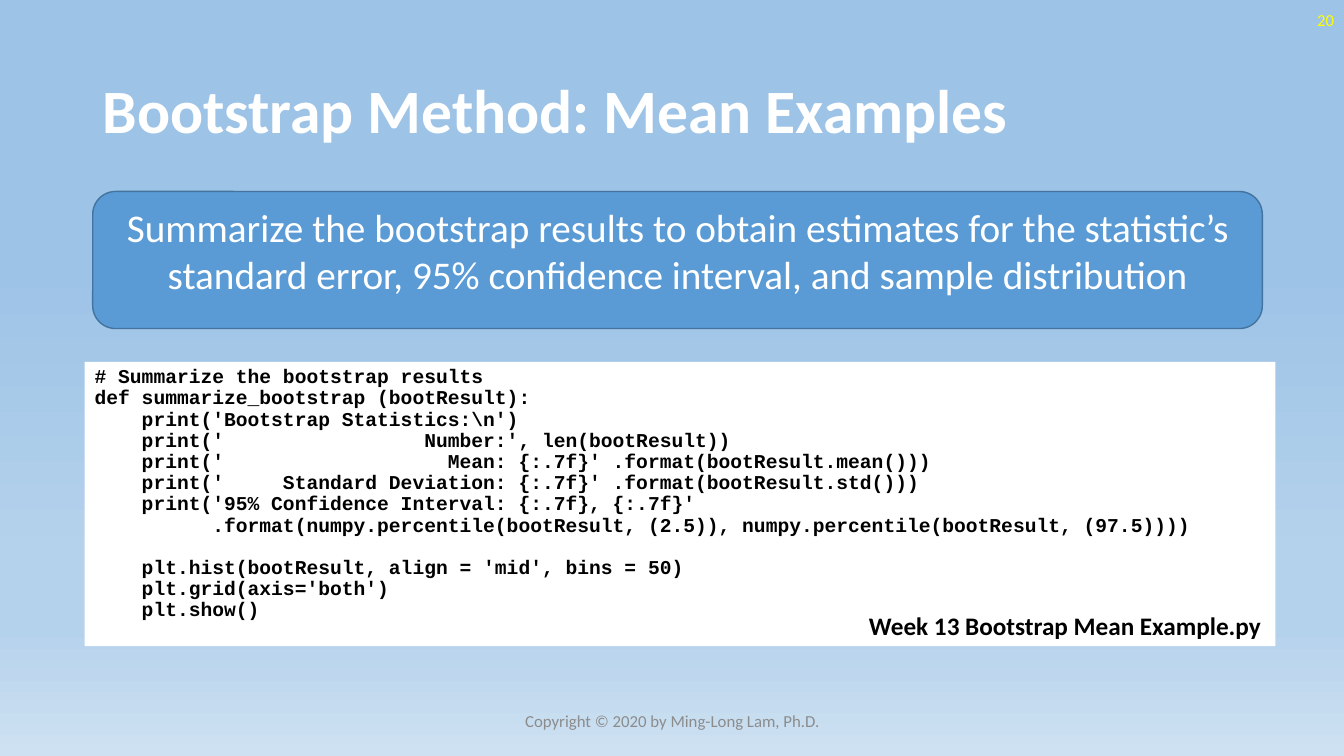
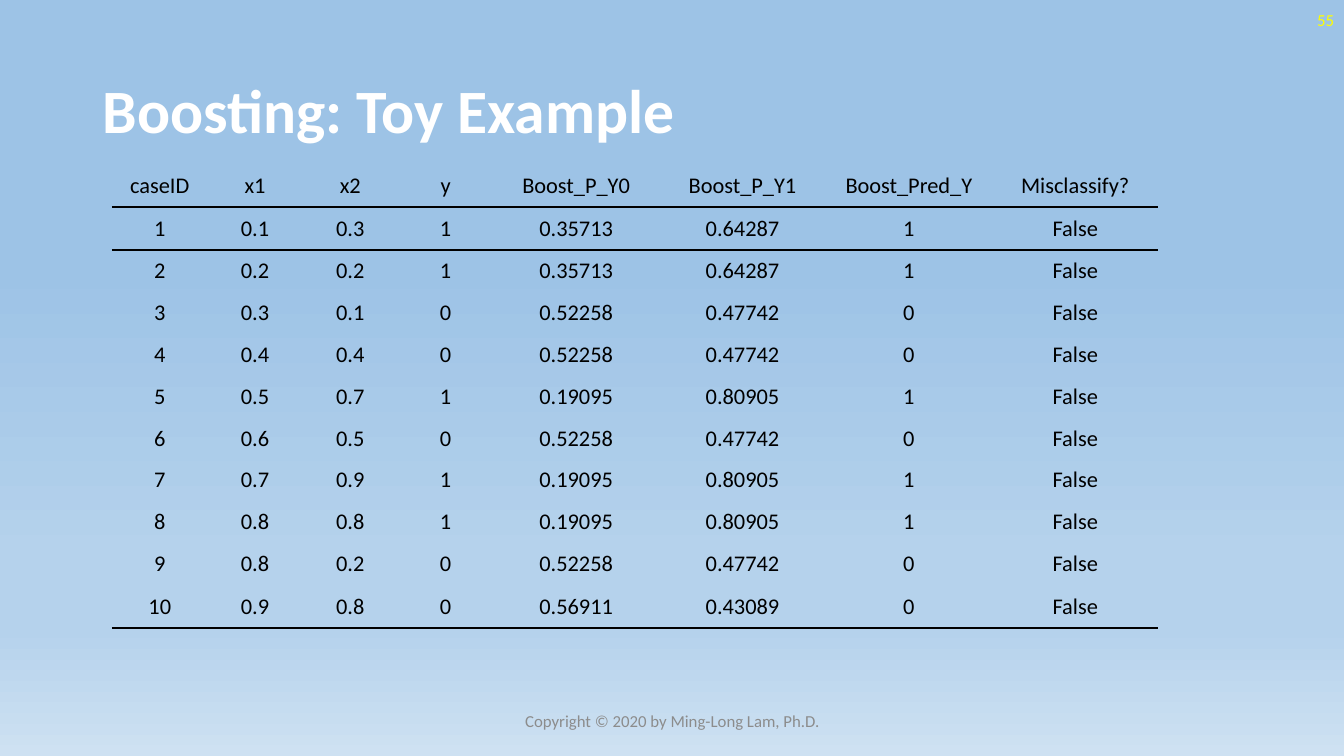
from lxml.etree import SubElement
from pptx import Presentation
from pptx.dml.color import RGBColor
from pptx.enum.shapes import MSO_SHAPE as Shape
from pptx.enum.text import MSO_ANCHOR as Anchor, PP_ALIGN as Align
from pptx.oxml.ns import qn
from pptx.util import Emu, Pt

PX = 9144  # EMU in one px, 100 px to the inch
FONT, CODE_FONT = "Calibri", "Courier New"
WHITE, BLACK, YELLOW, GREY = "FFFFFF", "000000", "FFFF00", "8C8C8C"
BLUE, DARK_BLUE = "5B9BD5", "43739E"
SKY = [(35, "9DC3E6"), (74, "B5D2EC"), (83, "B5D2EC"), (100, "CEE1F2")]
NO_STYLE = "{2D5ABB26-0587-4C30-8999-92F81FD0307C}"

SUMMARY = ("Summarize the bootstrap results to obtain estimates for the statistic’s "
           "standard error, 95% confidence interval, and sample distribution")
CODE = r"""# Summarize the bootstrap results
def summarize_bootstrap (bootResult):
    print('Bootstrap Statistics:\n')
    print('                 Number:', len(bootResult))
    print('                   Mean: {:.7f}' .format(bootResult.mean()))
    print('     Standard Deviation: {:.7f}' .format(bootResult.std()))
    print('95% Confidence Interval: {:.7f}, {:.7f}'
          .format(numpy.percentile(bootResult, (2.5)), numpy.percentile(bootResult, (97.5))))
    
    plt.hist(bootResult, align = 'mid', bins = 50)
    plt.grid(axis='both')
    plt.show()"""
HEADER = ["caseID", "x1", "x2", "y", "Boost_P_Y0", "Boost_P_Y1", "Boost_Pred_Y", "Misclassify?"]
CASES = [
    ("1", "0.1", "0.3", "1", "0.35713", "0.64287", "1", "False"),
    ("2", "0.2", "0.2", "1", "0.35713", "0.64287", "1", "False"),
    ("3", "0.3", "0.1", "0", "0.52258", "0.47742", "0", "False"),
    ("4", "0.4", "0.4", "0", "0.52258", "0.47742", "0", "False"),
    ("5", "0.5", "0.7", "1", "0.19095", "0.80905", "1", "False"),
    ("6", "0.6", "0.5", "0", "0.52258", "0.47742", "0", "False"),
    ("7", "0.7", "0.9", "1", "0.19095", "0.80905", "1", "False"),
    ("8", "0.8", "0.8", "1", "0.19095", "0.80905", "1", "False"),
    ("9", "0.8", "0.2", "0", "0.52258", "0.47742", "0", "False"),
    ("10", "0.9", "0.8", "0", "0.56911", "0.43089", "0", "False"),
]


def color(value):
    return RGBColor.from_string(value)


def emu(*lengths):
    return [Emu(length * PX) for length in lengths]


def write(frame, text, size, ink, font=FONT, bold=False, align=Align.LEFT,
          anchor=Anchor.TOP, spacing=None, wrap=True):
    """Write each line of text as a paragraph with one run."""
    frame.word_wrap = wrap
    frame.vertical_anchor = anchor
    for index, line in enumerate(text.split("\n")):
        paragraph = frame.add_paragraph() if index else frame.paragraphs[0]
        paragraph.alignment = align
        if spacing:
            paragraph.line_spacing = spacing
        run = paragraph.add_run()
        run.text = line
        run.font.name, run.font.size, run.font.bold = font, Pt(size), bold
        run.font.color.rgb = color(ink)


def add_text(slide, box, text, size, ink, **style):
    write(slide.shapes.add_textbox(*emu(*box)).text_frame, text, size, ink, **style)


def add_panel(slide, kind, box, fill, line=None):
    shape = slide.shapes.add_shape(kind, *emu(*box))
    shape.shadow.inherit = False
    shape.fill.solid()
    shape.fill.fore_color.rgb = color(fill)
    if line:
        shape.line.color.rgb = color(line)
        shape.line.width = Pt(1)
    else:
        shape.line.fill.background()
    return shape


def paint_background(slide):
    fill = slide.background.fill
    fill.gradient()
    fill.gradient_angle = 270  # top to bottom
    stops = slide.element.find(".//" + qn("a:gsLst"))
    for stop in list(stops):
        stops.remove(stop)
    for position, value in SKY:
        stop = SubElement(stops, qn("a:gs"), pos=str(position * 1000))
        SubElement(stop, qn("a:srgbClr"), val=value)


def add_base_slide(presentation, title, number):
    """Blank slide with the shared background, title, number and footer."""
    slide = presentation.slides.add_slide(presentation.slide_layouts[6])
    paint_background(slide)
    add_text(slide, (92, 40, 1150, 145), title, 44, WHITE, bold=True,
             anchor=Anchor.MIDDLE, spacing=0.9)
    add_text(slide, (1033, 0, 300, 40), number, 12, YELLOW,
             align=Align.RIGHT, anchor=Anchor.MIDDLE)
    add_text(slide, (442, 695, 450, 40), "Copyright © 2020 by Ming-Long Lam, Ph.D.", 12, GREY,
             align=Align.CENTER, anchor=Anchor.MIDDLE)
    return slide


def add_code_panel(slide, box, code, file_name):
    left, top, width, height = box
    panel = add_panel(slide, Shape.RECTANGLE, box, WHITE)
    write(panel.text_frame, code, 14, BLACK, font=CODE_FONT, bold=True, spacing=0.9)
    # File name in the lower right corner
    add_text(slide, (left + width - 413, top + height - 40, 412, 40), file_name,
             18, BLACK, bold=True, wrap=False)


def add_callout(slide, box, text):
    callout = add_panel(slide, Shape.ROUNDED_RECTANGLE, box, BLUE, DARK_BLUE)
    write(callout.text_frame, text, 28, WHITE, align=Align.CENTER)


def rule_cell(cell, side, width):
    """Draw one border of a cell; side is lnT or lnB."""
    line = SubElement(cell._tc.get_or_add_tcPr(), qn("a:" + side), w=str(Pt(width)))
    SubElement(SubElement(line, qn("a:solidFill")), qn("a:srgbClr"), val=BLACK)


def add_case_table(slide, left, top, column_widths, row_heights, rows):
    frame = slide.shapes.add_table(len(rows), len(column_widths),
                                   *emu(left, top, sum(column_widths), sum(row_heights)))
    table = frame.table
    table.first_row = table.horz_banding = False
    table._tbl.tblPr.find(qn("a:tableStyleId")).text = NO_STYLE
    for column, width in zip(table.columns, emu(*column_widths)):
        column.width = width
    for row, height in zip(table.rows, emu(*row_heights)):
        row.height = height
    # Rules under the header and under the last row
    rules = {0: ("lnB", 1.5), 1: ("lnT", 1.5), len(rows) - 1: ("lnB", 2)}
    for row_index, values in enumerate(rows):
        for column_index, value in enumerate(values):
            cell = table.cell(row_index, column_index)
            cell.margin_left, cell.margin_right, cell.margin_top, cell.margin_bottom = emu(1, 1, 1, 0)
            if row_index in rules:
                rule_cell(cell, *rules[row_index])
            cell.fill.background()
            write(cell.text_frame, value, 16, BLACK, align=Align.CENTER)
            cell.vertical_anchor = Anchor.MIDDLE


def build_bootstrap_slide(presentation):
    slide = add_base_slide(presentation, "Bootstrap Method: Mean Examples", "20")
    add_code_panel(slide, (84, 359, 1181, 282), CODE, "Week 13 Bootstrap Mean Example.py")
    add_callout(slide, (92, 190, 1160, 136), SUMMARY)


def build_boosting_slide(presentation):
    slide = add_base_slide(presentation, "Boosting: Toy Example", "55")
    add_case_table(slide, 111, 162, [95, 94] * 2 + [165] * 4,
                   [43, 43] + [41, 42] * 4 + [43], [HEADER] + CASES)


def main():
    presentation = Presentation()
    presentation.slide_width, presentation.slide_height = emu(1333, 750)
    build_bootstrap_slide(presentation)
    build_boosting_slide(presentation)
    presentation.save("out.pptx")


if __name__ == "__main__":
    main()
